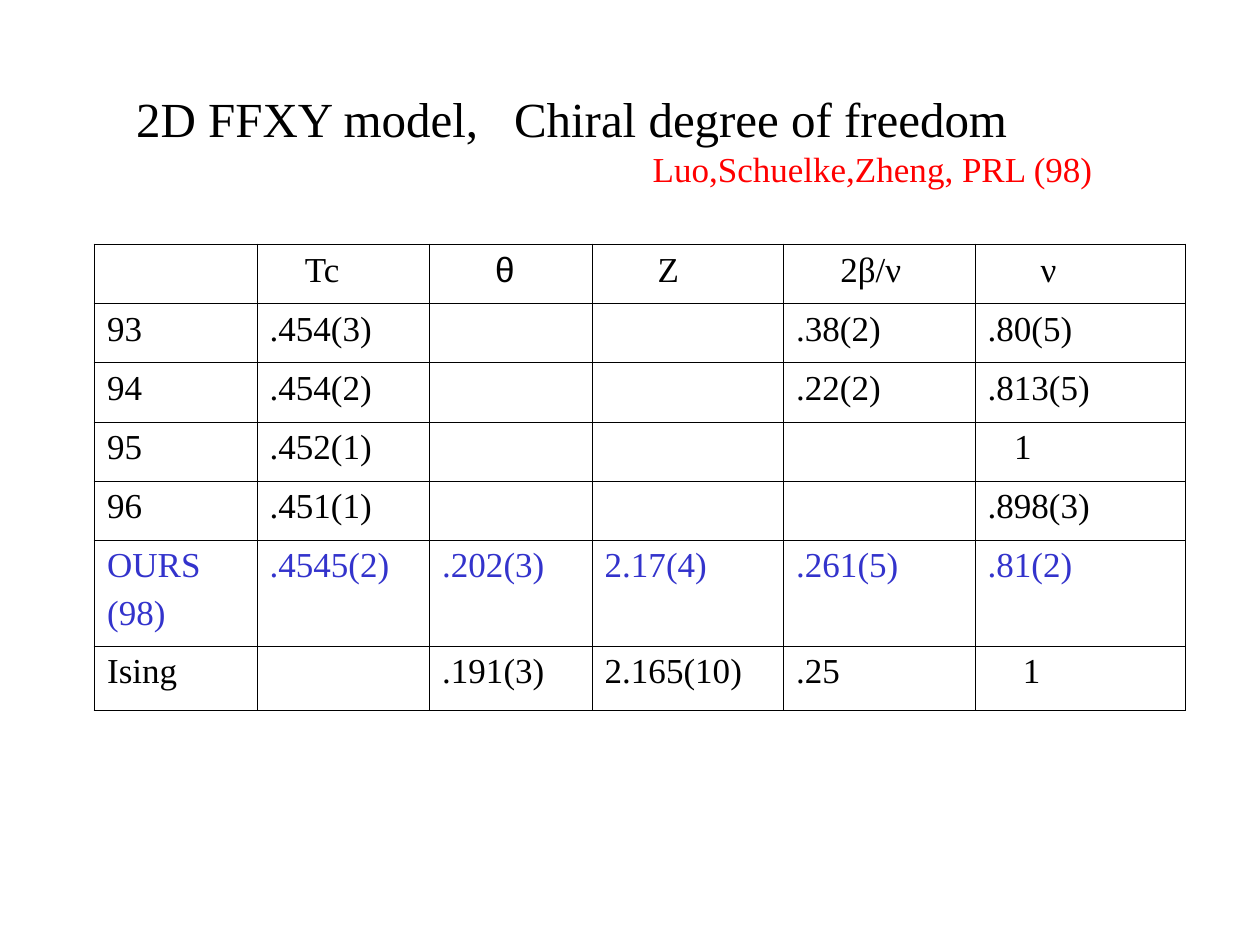
from lxml.etree import SubElement
from pptx import Presentation
from pptx.dml.color import RGBColor
from pptx.enum.text import MSO_ANCHOR, MSO_AUTO_SIZE, PP_ALIGN
from pptx.oxml.ns import qn
from pptx.util import Inches, Pt

BLACK = RGBColor(0, 0, 0)
RED = RGBColor(0xFF, 0, 0)
BLUE = RGBColor(0x33, 0x33, 0xCC)
SERIF = "Times New Roman"


def add_run(paragraph, text, size, color, font=SERIF, indent=0):
    run = paragraph.add_run()
    run.text = text
    run.font.size = Pt(size)
    run.font.name = font
    run.font.color.rgb = color
    if indent:
        properties = paragraph._p.get_or_add_pPr()
        properties.set("marL", str(Inches(indent)))
        properties.set("indent", "0")


def set_border(cell, position, side, width):
    line = SubElement(cell._tc.get_or_add_tcPr(), qn(f"a:ln{side}"), w=str(Pt(width)))
    fill = SubElement(line, qn("a:solidFill"))
    SubElement(fill, qn("a:srgbClr"), val=str(BLACK))
    cell._tc.tcPr.insert(position, line)


presentation = Presentation()
presentation.slide_width = Inches(10)
presentation.slide_height = Inches(7.5)
slide = presentation.slides.add_slide(presentation.slide_layouts[5])

# Title with the citation below it
title = slide.shapes.title
title.left, title.top = Inches(0.98), Inches(0.65)
title.width, title.height = Inches(8.2), Inches(0.9)
frame = title.text_frame
frame.word_wrap = True
frame.auto_size = MSO_AUTO_SIZE.NONE
frame.vertical_anchor = MSO_ANCHOR.TOP
heading = frame.paragraphs[0]
citation = frame.add_paragraph()
heading.alignment = citation.alignment = PP_ALIGN.LEFT
add_run(heading, "2D FFXY model,\tChiral degree of freedom", 28, BLACK)
tab_stops = SubElement(heading._p.get_or_add_pPr(), qn("a:tabLst"))
SubElement(tab_stops, qn("a:tab"), pos=str(Inches(3)), algn="l")
add_run(citation, "Luo,Schuelke,Zheng, PRL (98)", 20, RED, indent=4.1)

# Table of exponents
rows = [
    ["", "Tc", "θ", "Z", "2β/ν", "ν"],
    ["93", ".454(3)", "", "", ".38(2)", ".80(5)"],
    ["94", ".454(2)", "", "", ".22(2)", ".813(5)"],
    ["95", ".452(1)", "", "", "", "1"],
    ["96", ".451(1)", "", "", "", ".898(3)"],
    ["OURS\n(98)", ".4545(2)", ".202(3)", "2.17(4)", ".261(5)", ".81(2)"],
    ["Ising", "", ".191(3)", "2.165(10)", ".25", "1"],
]
column_widths = [1.29, 1.37, 1.29, 1.52, 1.52, 1.67]
row_heights = [0.47] * 5 + [0.84, 0.51]
indents = {"Tc": 0.28, "θ": 0.42, "Z": 0.42, "2β/ν": 0.35, "ν": 0.42}
unit_indents = {3: 0.21, 6: 0.28}
OURS_ROW = 5

table = slide.shapes.add_table(
    len(rows), len(column_widths), Inches(0.75), Inches(1.94),
    Inches(sum(column_widths)), Inches(sum(row_heights))).table
table.first_row = table.horz_banding = False
for column, width in zip(table.columns, column_widths):
    column.width = Inches(width)
for row, height in zip(table.rows, row_heights):
    row.height = Inches(height)

last_row, last_column = len(rows) - 1, len(column_widths) - 1
for row_index, values in enumerate(rows):
    for column_index, value in enumerate(values):
        cell = table.cell(row_index, column_index)
        cell.fill.background()

        # Thicker lines around the outside
        outer_sides = {"L": column_index == 0, "R": column_index == last_column,
                       "T": row_index == 0, "B": row_index == last_row}
        for position, (side, is_outer) in enumerate(outer_sides.items()):
            set_border(cell, position, side, 1.08 if is_outer else 0.45)

        # Cell text
        indent = unit_indents[row_index] if value == "1" else indents.get(value, 0)
        for line_index, text in enumerate(value.split("\n") if value else []):
            frame = cell.text_frame
            paragraph = frame.add_paragraph() if line_index else frame.paragraphs[0]
            paragraph.space_before = Pt(5)
            add_run(paragraph, text, 20, BLUE if row_index == OURS_ROW else BLACK,
                    "Arial" if text == "θ" else SERIF, indent)

presentation.save("out.pptx")
